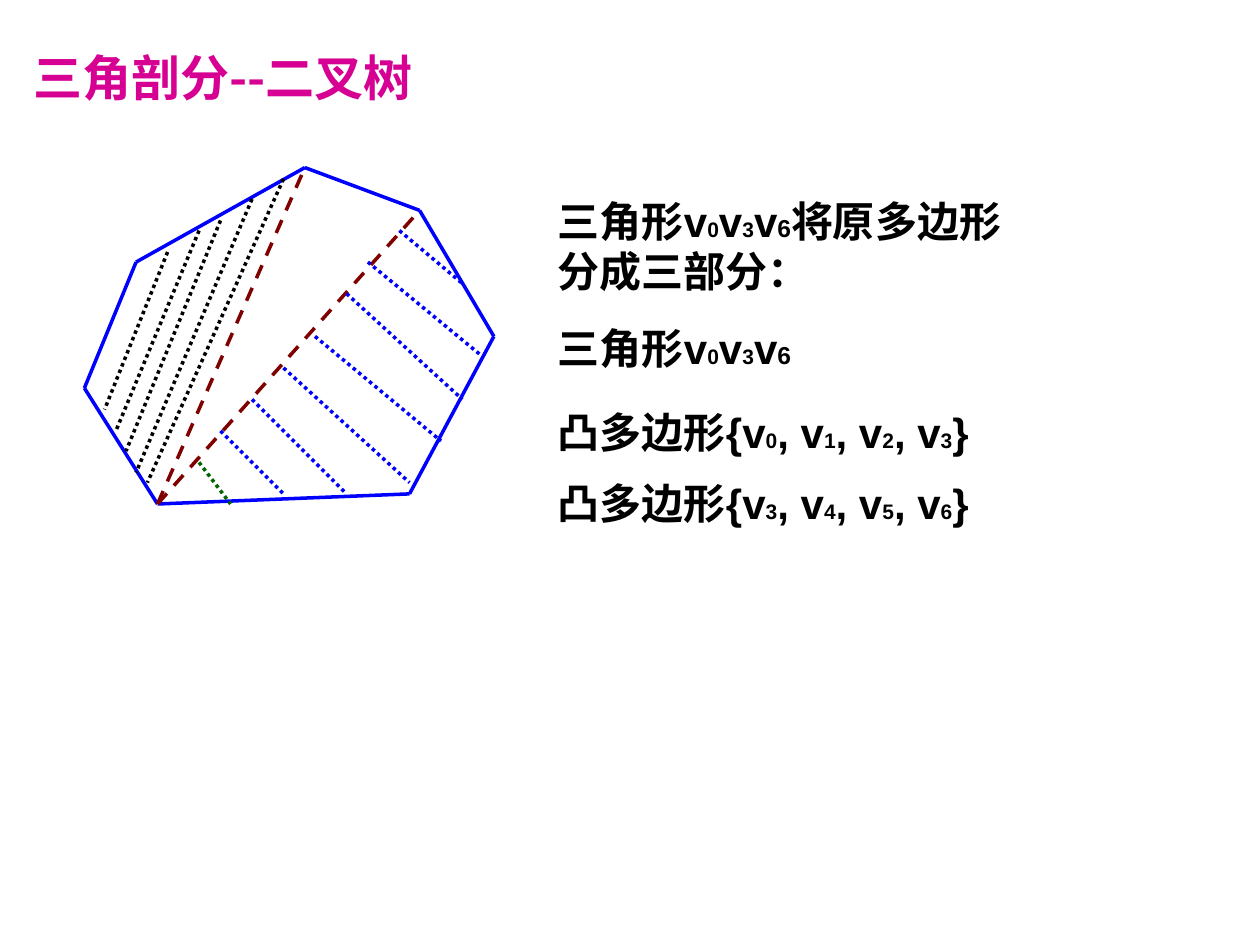
from itertools import groupby

from pptx import Presentation
from pptx.dml.color import RGBColor
from pptx.enum.dml import MSO_LINE
from pptx.enum.shapes import MSO_CONNECTOR
from pptx.enum.text import MSO_AUTO_SIZE
from pptx.oxml.ns import qn
from pptx.util import Inches, Pt
from lxml.etree import SubElement

MAGENTA = RGBColor(0xD6, 0x00, 0x93)
BLUE = RGBColor(0x00, 0x00, 0xFF)
MAROON = RGBColor(0x80, 0x00, 0x00)
GREEN = RGBColor(0x00, 0x66, 0x00)
BLACK = RGBColor(0x00, 0x00, 0x00)
CJK_FONT = "Noto Sans CJK SC"


def add_line(shapes, start, end, color, dash=None):
    line = shapes.add_connector(MSO_CONNECTOR.STRAIGHT, *map(Inches, start + end))
    line.line.color.rgb = color
    line.line.width = Pt(2)
    if dash:
        line.line.dash_style = dash
    SubElement(line._element.spPr, qn("a:effectLst"))


def add_text(page, text, position, font_name, color, size, index_sizes):
    """Add a bold text box; digits get the size in index_sizes, or 12 pt."""
    box = page.shapes.add_textbox(*map(Inches, position))
    box.text_frame.word_wrap = True
    box.text_frame.auto_size = MSO_AUTO_SIZE.SHAPE_TO_FIT_TEXT
    paragraph = box.text_frame.paragraphs[0]
    font = paragraph.font
    font.name, font.bold, font.color.rgb = font_name, True, color
    defaults = paragraph._p.pPr.find(qn("a:defRPr"))
    SubElement(defaults, qn("a:ea")).set("typeface", CJK_FONT)
    for is_index, characters in groupby(text, str.isdigit):
        span = paragraph.add_run()
        span.text = "".join(characters)
        span.font.size = Pt(index_sizes.get(span.text, 12) if is_index else size)


deck = Presentation()
deck.slide_width, deck.slide_height = Inches(10), Inches(7.5)
page = deck.slides.add_slide(deck.slide_layouts[6])

add_text(page, "三角剖分--二叉树", (0.17, 0.33, 4.85, 0.57), CJK_FONT, MAGENTA, 28, {})

# Convex polygon v0 to v6
vertices = [(1.25, 4), (0.67, 3.08), (1.08, 2.08), (2.42, 1.33),
            (3.33, 1.67), (3.92, 2.67), (3.25, 3.92)]
polygon = page.shapes.add_group_shape()
for start, end in zip(vertices, vertices[1:] + vertices[:1]):
    add_line(polygon.shapes, start, end, BLUE)

# Chords from v0 to v3 and v4
for vertex in vertices[3:5]:
    add_line(page.shapes, vertices[0], vertex, MAROON, MSO_LINE.DASH)

# Dotted hatching of the two outer parts
left_hatching = [
    ((1.33, 2), (0.83, 3.25)),
    ((1.58, 1.83), (0.92, 3.42)),
    ((1.75, 1.75), (1, 3.58)),
    ((2, 1.58), (1.08, 3.75)),
    ((2.25, 1.42), (1.17, 3.83)),
]
right_hatching = [
    ((1.75, 3.42), (2.25, 3.92)),
    ((2, 3.17), (2.75, 3.92)),
    ((2.25, 2.92), (3.25, 3.83)),
    ((2.5, 2.67), (3.5, 3.5)),
    ((2.75, 2.33), (3.67, 3.17)),
    ((2.92, 2.08), (3.83, 2.83)),
    ((3.17, 1.83), (3.67, 2.25)),
]
left_part = page.shapes.add_group_shape()
for start, end in left_hatching:
    add_line(left_part.shapes, start, end, BLACK, MSO_LINE.ROUND_DOT)
right_part = page.shapes.add_group_shape()
add_line(right_part.shapes, (1.58, 3.67), (1.83, 4), GREEN, MSO_LINE.ROUND_DOT)
for start, end in right_hatching:
    add_line(right_part.shapes, start, end, BLUE, MSO_LINE.ROUND_DOT)

# Explanation: text, top, height, index sizes
statements = [
    ("三角形v0v3v6将原多边形分成三部分：", 1.5, 0.91, {"6": 14}),
    ("三角形v0v3v6", 2.51, 0.5, {"6": 14}),
    ("凸多边形{v0, v1, v2, v3}", 3.18, 0.5, {}),
    ("凸多边形{v3, v4, v5, v6}", 3.74, 0.5, {}),
]
for text, top, height, index_sizes in statements:
    add_text(page, text, (4.33, top, 3.75, height), "Arial", BLACK, 24, index_sizes)

deck.save("out.pptx")
